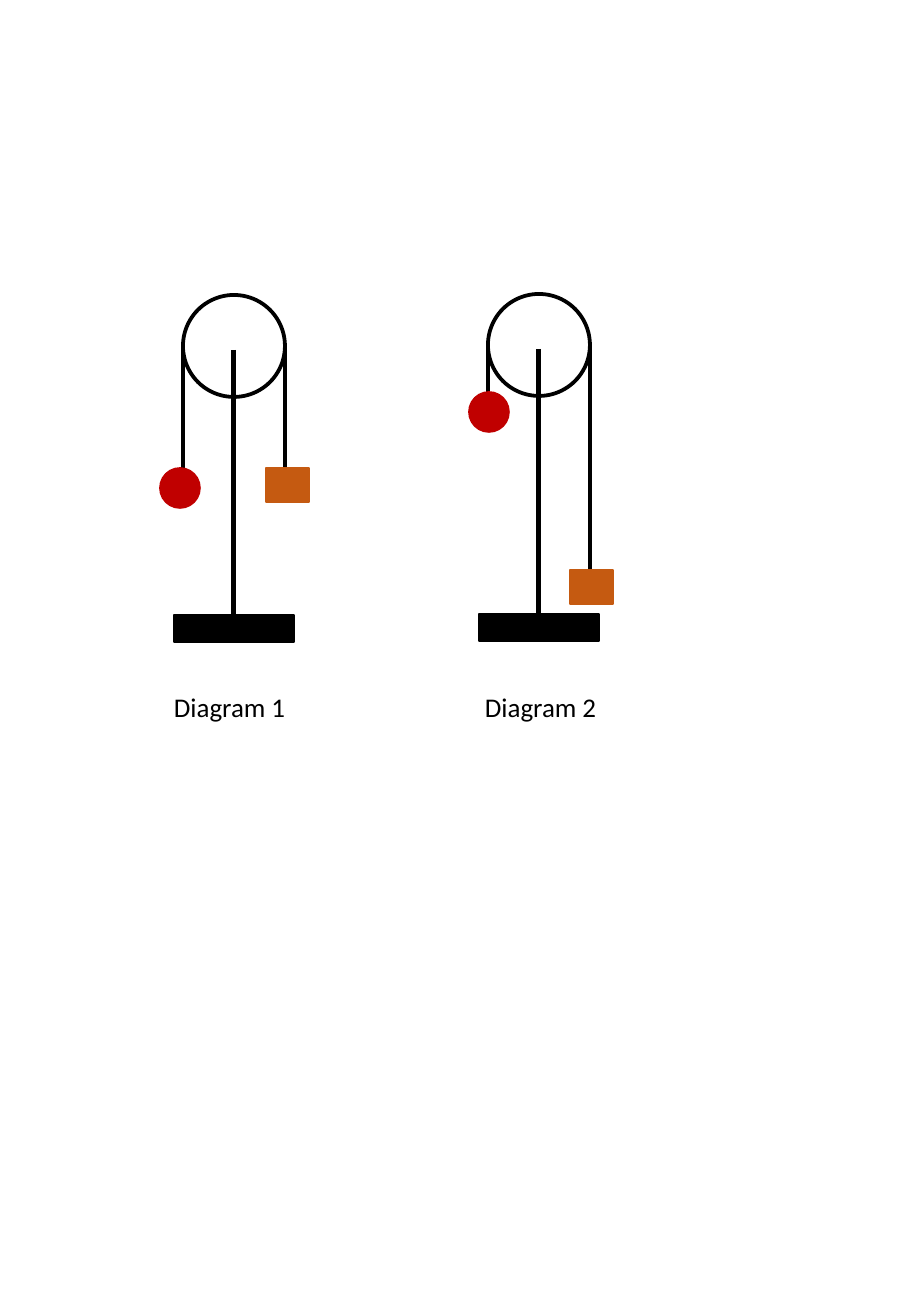
from dataclasses import dataclass

from lxml import etree
from pptx import Presentation
from pptx.dml.color import RGBColor
from pptx.enum.shapes import MSO_CONNECTOR, MSO_SHAPE
from pptx.enum.text import MSO_AUTO_SIZE
from pptx.oxml.ns import qn
from pptx.util import Pt

OVAL = MSO_SHAPE.OVAL
RECT = MSO_SHAPE.RECTANGLE
LINE = MSO_CONNECTOR.STRAIGHT
FIT = MSO_AUTO_SIZE.SHAPE_TO_FIT_TEXT

DIAGRAMS = [
    {"text": "Diagram 1", "axis": 234, "top": 295, "ball": (160, 468),
     "box": (266, 468), "ropes": (490, 490), "label": 162},
    {"text": "Diagram 2", "axis": 539, "top": 294, "ball": (469, 392),
     "box": (570, 570), "ropes": (402, 576), "label": 473},
]

PAGE = (911, 1316)
WHEEL = 102
BALL = 40
BOX = (43, 34)
BASE = (120, 27)
BASE_DROP = 320
ROPE_DROP = 48
POST_DROP = (55, 338)
LABEL = (685, 137, 45)


@dataclass
class Theme:
    ink: str = "000000"
    ball: str = "C00000"
    box: str = "C55A11"
    font: str = "Calibri"
    size: float = 16
    edge: float = 1
    rope: float = 2.25
    post: float = 3


theme = Theme()


def px(n):
    return round(n * 914400 / 121.5)


def paint(line, color, width):
    line.color.rgb = RGBColor.from_string(color)
    line.width = Pt(width)


def add_part(slide, kind, x, y, w, h, fill=None):
    part = slide.shapes.add_shape(kind, px(x), px(y), px(w), px(h))
    part.shadow.inherit = False
    if fill:
        part.fill.solid()
        part.fill.fore_color.rgb = RGBColor.from_string(fill)
        paint(part.line, fill, theme.edge)
    else:
        part.fill.background()
        paint(part.line, theme.ink, theme.rope)


def add_line(slide, x, top, end, width):
    line = slide.shapes.add_connector(LINE, px(x), px(top), px(x), px(end))
    paint(line.line, theme.ink, width)
    etree.SubElement(line._element.spPr, qn("a:effectLst"))


def add_label(slide, text, x):
    y, w, h = LABEL
    label = slide.shapes.add_textbox(px(x), px(y), px(w), px(h))
    frame = label.text_frame
    frame.word_wrap = False
    frame.auto_size = FIT
    run = frame.paragraphs[0].add_run()
    run.text = text
    run.font.name = theme.font
    run.font.size = Pt(theme.size)
    run.font.color.rgb = RGBColor.from_string(theme.ink)


def add_pulley(slide, data):
    axis, top = data["axis"], data["top"]
    left = axis - WHEEL // 2
    add_part(slide, OVAL, left, top, WHEEL, WHEEL)
    for x, end in zip((left, left + WHEEL), data["ropes"]):
        add_line(slide, x, top + ROPE_DROP, end, theme.rope)
    add_part(slide, OVAL, *data["ball"], BALL, BALL, theme.ball)
    add_part(slide, RECT, *data["box"], *BOX, theme.box)
    start, end = POST_DROP
    add_line(slide, axis, top + start, top + end, theme.post)
    add_part(slide, RECT, axis - BASE[0] // 2, top + BASE_DROP, *BASE, theme.ink)
    add_label(slide, data["text"], data["label"])


def main():
    deck = Presentation()
    deck.slide_width, deck.slide_height = map(px, PAGE)
    slide = deck.slides.add_slide(deck.slide_layouts[6])
    for data in DIAGRAMS:
        add_pulley(slide, data)
    deck.save("out.pptx")


if __name__ == "__main__":
    main()
